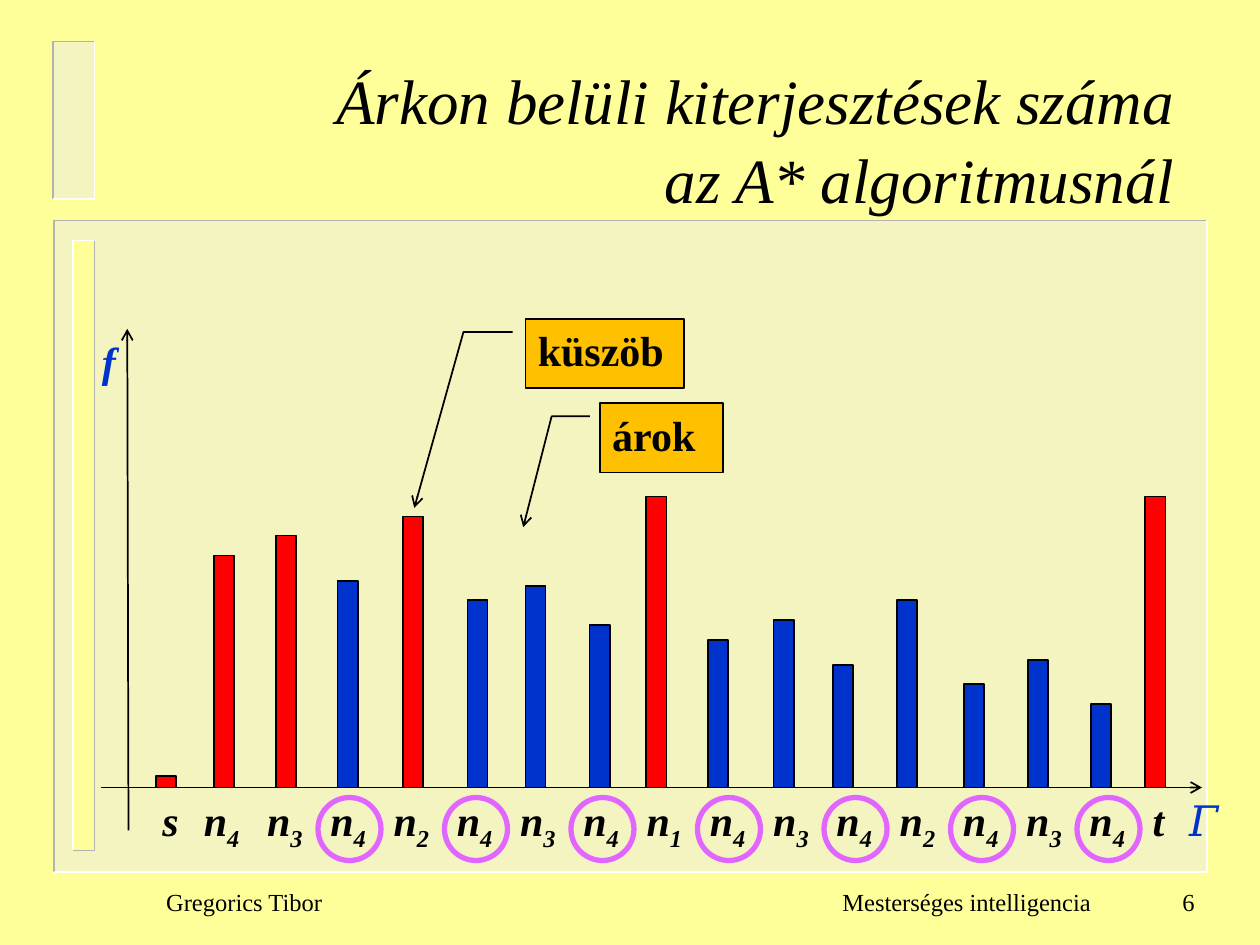
from pptx import Presentation
from pptx import util as u
from pptx.dml.color import RGBColor
from pptx.enum import shapes, text
from pptx.oxml.ns import qn
from lxml import etree

BLACK = RGBColor(0, 0, 0)
WHITE = RGBColor(255, 255, 255)
GREY = RGBColor(0xB2, 0xB2, 0xB2)
PANEL = RGBColor(0xEA, 0xEA, 0xEA)
CREAM = RGBColor(0xFF, 0xFF, 0x99)
AMBER = RGBColor(0xFF, 0xC0, 0)
RED = RGBColor(255, 0, 0)
BLUE = RGBColor(0, 0x33, 0xCC)
PINK = RGBColor(0xE0, 0x66, 0xFF)
KIND = shapes.MSO_SHAPE
ALIGN = text.PP_ALIGN

deck = Presentation()
deck.slide_width, deck.slide_height = u.Inches(10), u.Inches(7.5)
slide = deck.slides.add_slide(deck.slide_layouts[6])
slide.background.fill.solid()
slide.background.fill.fore_color.rgb = CREAM
items = slide.shapes


def draw(kind, box, fill, line, width=1):
    item = items.add_shape(kind, *[u.Inches(v) for v in box])
    item.shadow.inherit = False
    for part, tone in ((item.fill, fill), (item.line.fill, line)):
        if tone is None:
            part.background()
        else:
            part.solid()
            part.fore_color.rgb = tone
    if line is not None:
        item.line.width = u.Pt(width)
    return item


def write(item, lines, size, tone=BLACK, bold=False, slant=False,
          align=ALIGN.LEFT, face="Times New Roman", wrap=False):
    frame = item.text_frame
    frame.word_wrap = wrap
    frame.vertical_anchor = text.MSO_ANCHOR.TOP
    for i, line in enumerate(lines):
        para = frame.add_paragraph() if i else frame.paragraphs[0]
        para.alignment = align
        for j, part in enumerate(line):
            run = para.add_run()
            run.text = part
            font = run.font
            font.name, font.size = face, u.Pt(size)
            font.bold, font.italic = bold, slant
            font.color.rgb = tone
            if j:
                font._element.set("baseline", "-25000")
    return frame


frames = [
    (0.43, 1.75, 9.15, 5.17, PANEL, GREY, WHITE),
    (0.58, 1.91, 0.17, 4.84, CREAM, WHITE, GREY),
    (0.42, 0.33, 0.33, 1.25, PANEL, GREY, WHITE),
]
for x, y, w, h, fill, upper, lower in frames:
    pane = draw(KIND.RECTANGLE, (x, y, w, h), fill, None)
    if fill == PANEL:
        tone = pane.fill._xPr.find(qn("a:solidFill"))[0]
        etree.SubElement(tone, qn("a:alpha")).set("val", "50000")
    ends = [(x + w, y), (x, y + h)]
    for turn, shade in (((x, y), upper), ((x + w, y + h), lower)):
        path = [[u.Inches(v) for v in p] for p in (ends[0], turn, ends[1])]
        pen = items.build_freeform(*path[0])
        pen.add_line_segments(path[1:], close=False)
        edge = pen.convert_to_shape()
        edge.shadow.inherit = False
        edge.fill.background()
        edge.line.color.rgb = shade
        edge.line.width = u.Pt(1)

notes = [
    ("Gregorics Tibor", 1.22, 2, ALIGN.LEFT),
    ("Mesterséges intelligencia", 6.26, 2.5, ALIGN.RIGHT),
    ("6", 7.5, 2.08, ALIGN.RIGHT),
]
for word, x, w, align in notes:
    box = items.add_textbox(*[u.Inches(v) for v in (x, 6.91, w, 0.5)])
    frame = write(box, [[word]], 14, align=align, wrap=True)
    frame.vertical_anchor = text.MSO_ANCHOR.MIDDLE

title = items.add_textbox(*[u.Inches(v) for v in (0.92, 0.41, 8.5, 1.21)])
lines = [["Árkon belüli kiterjesztések száma"], ["az A* algoritmusnál"]]
frame = write(title, lines, 36, slant=True, align=ALIGN.RIGHT, wrap=True)
for para in frame.paragraphs:
    para.line_spacing = 1.05

arrows = []
calls = [
    ("küszöb", (4.17, 2.53, 1.26, 0.55), 2.73, -0.7),
    ("árok", (4.76, 3.2, 0.98, 0.55), 1.79, -0.62),
]
for word, box, down, left in calls:
    call = draw(KIND.LINE_CALLOUT_2, box, AMBER, BLACK)
    for i, v in enumerate((0.19, -0.08, 0.19, -0.39, down, left)):
        call.adjustments[i] = v
    write(call, [[word]], 24, bold=True, wrap=True)
    arrows.append(call)

for path in ((0.8, 6.25, 9.54, 6.25), (1.02, 6.59, 1.01, 2.61)):
    axis = items.add_connector(shapes.MSO_CONNECTOR.STRAIGHT,
                               *[u.Inches(v) for v in path])
    axis.line.color.rgb = BLACK
    axis.line.width = u.Pt(1)
    arrows.append(axis)
for item in arrows:
    tip = etree.SubElement(item.line._get_or_add_ln(), qn("a:tailEnd"))
    tip.set("type", "arrow")
for axis in arrows[2:]:
    etree.SubElement(axis._element.spPr, qn("a:effectLst"))

base, step = 6.25, 0.502
bars = [
    ("s", 1.24, 6.16, RED), ("n4", 1.7, 4.41, RED), ("n3", 2.19, 4.25, RED),
    ("n4", 2.68, 4.61, BLUE), ("n2", 3.2, 4.1, RED), ("n4", 3.71, 4.76, BLUE),
    ("n3", 4.17, 4.65, BLUE), ("n4", 4.68, 4.96, BLUE), ("n1", 5.13, 3.94, RED),
    ("n4", 5.62, 5.08, BLUE), ("n3", 6.14, 4.92, BLUE), ("n4", 6.61, 5.28, BLUE),
    ("n2", 7.12, 4.76, BLUE), ("n4", 7.65, 5.43, BLUE), ("n3", 8.16, 5.24, BLUE),
    ("n4", 8.66, 5.59, BLUE), ("t", 9.09, 3.94, RED),
]
signs = []
for i, (name, x, top, tone) in enumerate(bars):
    draw(KIND.RECTANGLE, (x, top, 0.16, base - top), tone, BLACK)
    left = 1.52 + step * (i - 1) if i else 1.19
    signs.append((list(name), left, 6.26, BLACK, "Times New Roman", True))
    if name == "n4" and tone == BLUE:
        draw(KIND.OVAL, (left, 6.33, 0.5, 0.5), None, PINK, 3)

signs += [
    (["𝛤"], 9.34, 6.26, BLUE, "Cambria", False),
    (["f"], 0.71, 2.61, BLUE, "Times New Roman", True),
]
for parts, x, y, tone, face, slant in signs:
    box = items.add_textbox(*[u.Inches(v) for v in (x, y, 0.5, 0.5)])
    write(box, [parts], 24, tone, True, slant, face=face)

deck.save("out.pptx")
